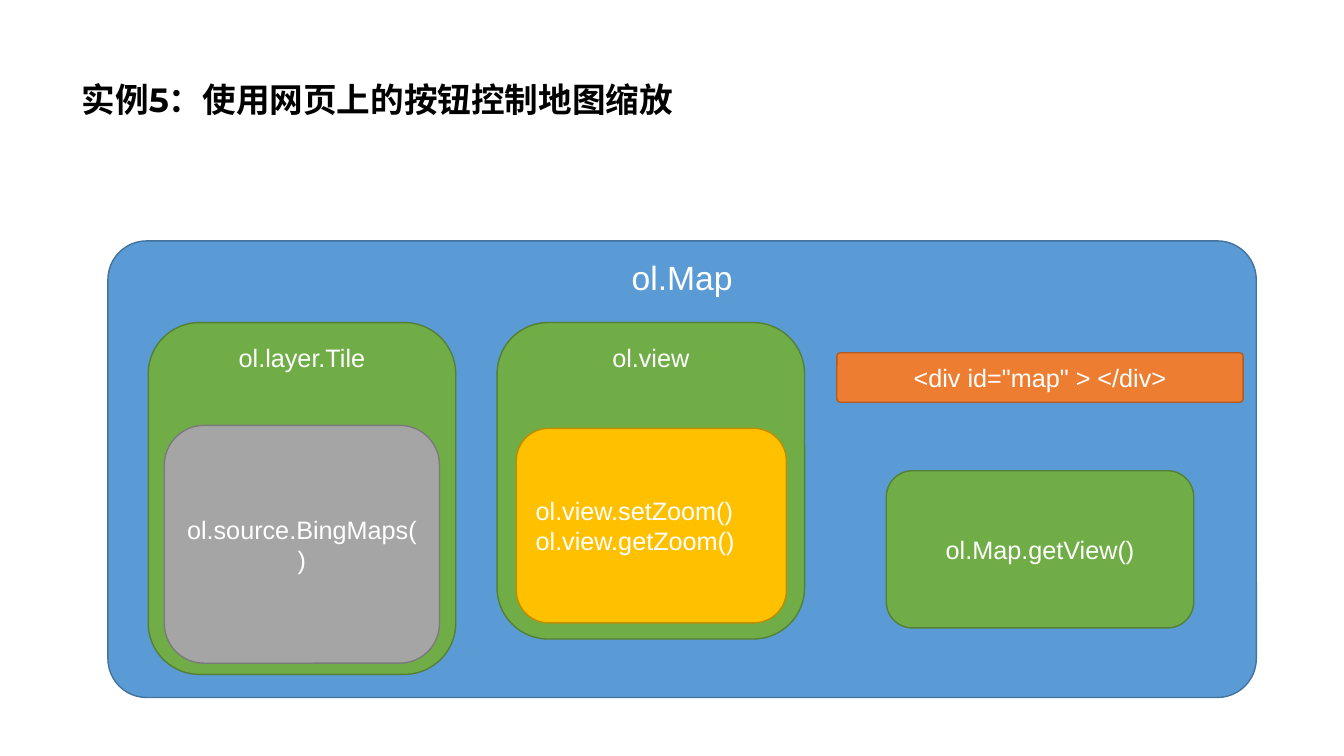
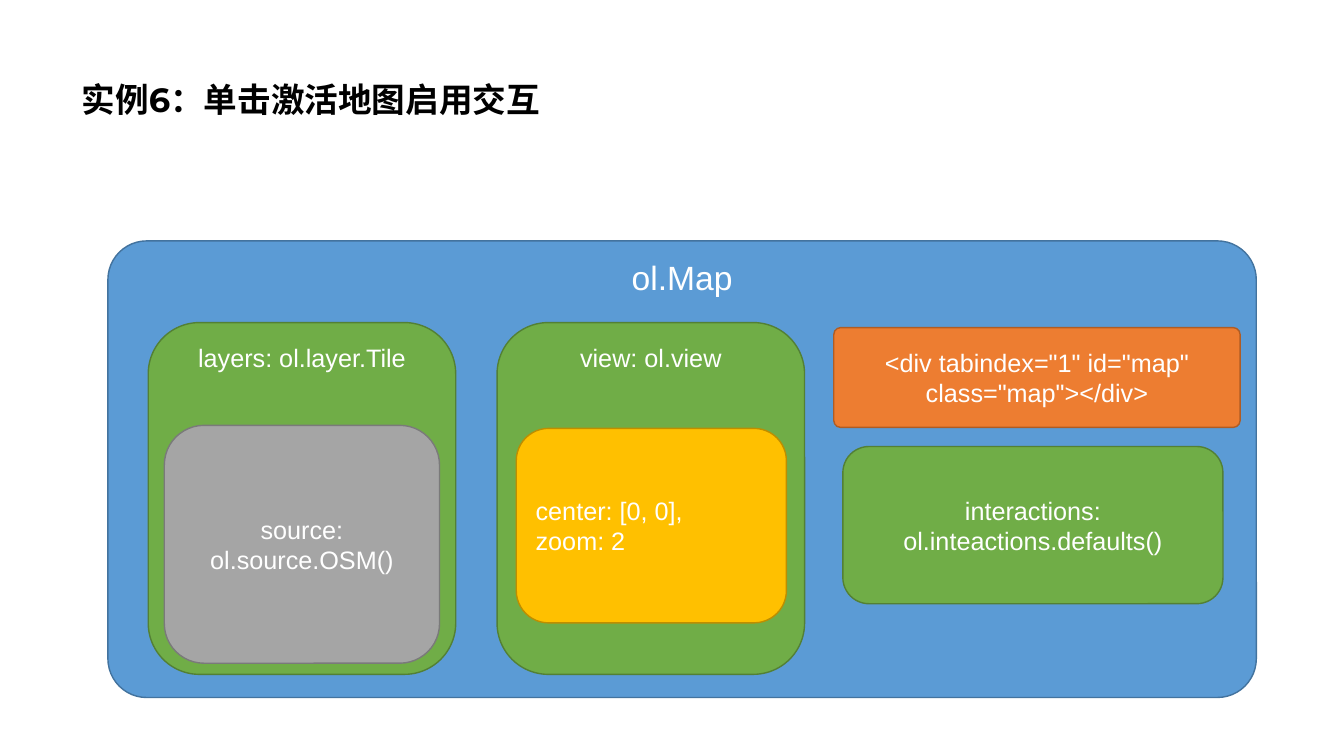
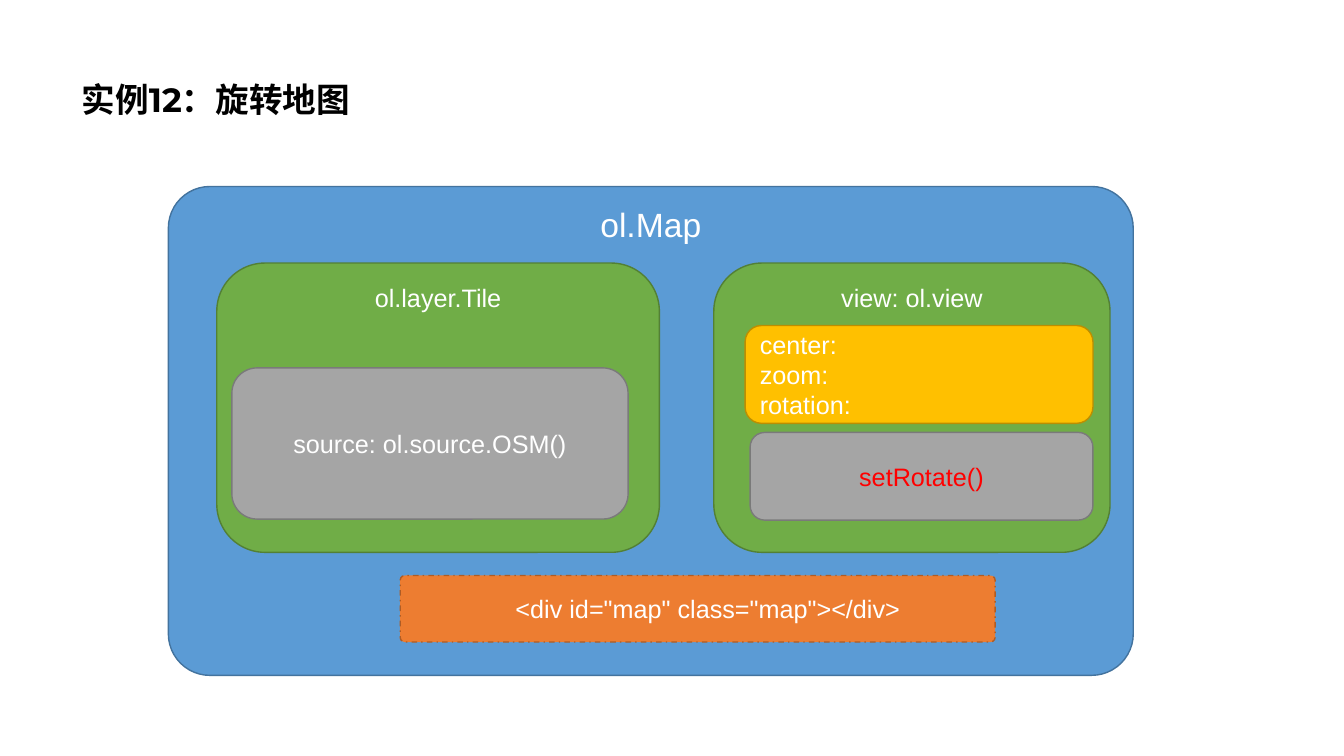
import pptx
import pptx.dml.color
import pptx.enum.dml
import pptx.enum.shapes
import pptx.enum.text
import pptx.util

Inches = pptx.util.Inches
Pt = pptx.util.Pt
ALIGN = pptx.enum.text.PP_ALIGN
ANCHOR = pptx.enum.text.MSO_ANCHOR

COLOURS = {
    "map": "5B9BD5", "map edge": "43739E",
    "part": "70AD47", "part edge": "538035",
    "source": "A5A5A5", "source edge": "7A7A7A",
    "settings": "FFC000", "settings edge": "BD8E00",
    "markup": "ED7D31", "markup edge": "AF5C24",
    "title": "000000", "label": "FFFFFF", "highlight": "FF0000",
}


def rgb(name):
    return pptx.dml.color.RGBColor.from_string(COLOURS[name])


class MapDeck:
    """Style and current slide of a deck of nested map-object diagrams."""

    def __init__(self):
        self.deck = pptx.Presentation()
        self.deck.slide_width = Inches(13.33)
        self.deck.slide_height = Inches(7.5)
        self.slide = None

    def start(self, heading):
        """Add a slide with its title."""
        self.slide = self.deck.slides.add_slide(self.deck.slide_layouts[5])
        title = self.slide.shapes.title
        title.left, title.top = Inches(0.71), Inches(0.28)
        title.width, title.height = Inches(11.5), Inches(1.45)
        title.text_frame.vertical_anchor = ANCHOR.MIDDLE
        paragraph = title.text_frame.paragraphs[0]
        paragraph.line_spacing = 0.9
        self.add_words(paragraph, heading, 24, "title", ALIGN.LEFT, "Montserrat", True)

    def add_words(self, paragraph, words, size, colour, align, font="Arial", bold=False):
        paragraph.alignment = align
        run = paragraph.add_run()
        run.text = words
        run.font.size = Pt(size)
        run.font.name = font
        run.font.bold = bold
        run.font.color.rgb = rgb(colour)

    def box(self, role, at, lines, size=18, colour="label", align=ALIGN.CENTER,
            anchor=ANCHOR.MIDDLE, corner=0.1667):
        box = self.slide.shapes.add_shape(
            pptx.enum.shapes.MSO_SHAPE.ROUNDED_RECTANGLE, *map(Inches, at))
        box.adjustments[0] = corner
        box.shadow.inherit = False
        box.fill.solid()
        box.fill.fore_color.rgb = rgb(role)
        box.line.color.rgb = rgb(role + " edge")
        box.line.width = Pt(1)
        frame = box.text_frame
        frame.word_wrap = True
        frame.vertical_anchor = anchor
        for index, words in enumerate(lines):
            paragraph = frame.add_paragraph() if index else frame.paragraphs[0]
            self.add_words(paragraph, words, size, colour, align)
        return box

    def map_frame(self, at):
        self.box("map", at, ["ol.Map"], size=24, anchor=ANCHOR.TOP, corner=0.085)

    def container(self, at, heading):
        self.box("part", at, [heading], anchor=ANCHOR.TOP)

    def settings(self, at, lines):
        self.box("settings", at, lines, align=ALIGN.LEFT)

    def markup(self, at, tag):
        return self.box("markup", at, [tag], corner=0.069)

    def layer_and_view(self, layer, source, view, view_height, settings):
        """Draw the map with a layer column and a view column."""
        self.map_frame((1.07, 2.39, 11.39, 4.53))
        self.container((1.47, 3.2, 3.05, 3.49), layer)
        self.box("source", (1.63, 4.22, 2.73, 2.36), [source])
        self.container((4.93, 3.2, 3.05, view_height), view)
        self.settings((5.12, 4.25, 2.68, 1.93), settings)


def main():
    deck = MapDeck()

    deck.start("实例5：使用网页上的按钮控制地图缩放")
    deck.layer_and_view("ol.layer.Tile", "ol.source.BingMaps()", "ol.view", 3.14,
                        ["ol.view.setZoom()", "ol.view.getZoom()"])
    deck.box("part", (8.79, 4.67, 3.05, 1.56), ["ol.Map.getView()"])
    deck.markup((8.3, 3.5, 4.03, 0.49), '<div id="map" > </div>')

    deck.start("实例6：单击激活地图启用交互")
    deck.layer_and_view("layers: ol.layer.Tile", "source: ol.source.OSM()",
                        "view: ol.view", 3.49, ["center: [0, 0],", "zoom: 2"])
    deck.box("part", (8.36, 4.43, 3.77, 1.56),
             ["interactions:", "ol.inteactions.defaults()"])
    deck.markup((8.27, 3.25, 4.03, 0.99),
                '<div tabindex="1" id="map" class="map"></div>')

    deck.start("实例12：旋转地图")
    deck.map_frame((1.67, 1.85, 9.57, 4.85))
    deck.container((2.15, 2.61, 4.39, 2.87), "ol.layer.Tile")
    deck.box("source", (2.3, 3.65, 3.93, 1.5), ["source: ol.source.OSM()"])
    deck.container((7.08, 2.61, 3.93, 2.87), "view: ol.view")
    deck.settings((7.39, 3.23, 3.45, 0.97), ["center:", "zoom:", "rotation:"])
    deck.box("source", (7.44, 4.29, 3.4, 0.87), ["setRotate()"], colour="highlight")
    map_tag = deck.markup((3.97, 5.71, 5.9, 0.66), '<div id="map" class="map"></div>')
    map_tag.line.dash_style = pptx.enum.dml.MSO_LINE.DASH_DOT
    map_tag.text_frame.margin_left = Inches(0.3)

    deck.deck.save("out.pptx")


if __name__ == "__main__":
    main()
